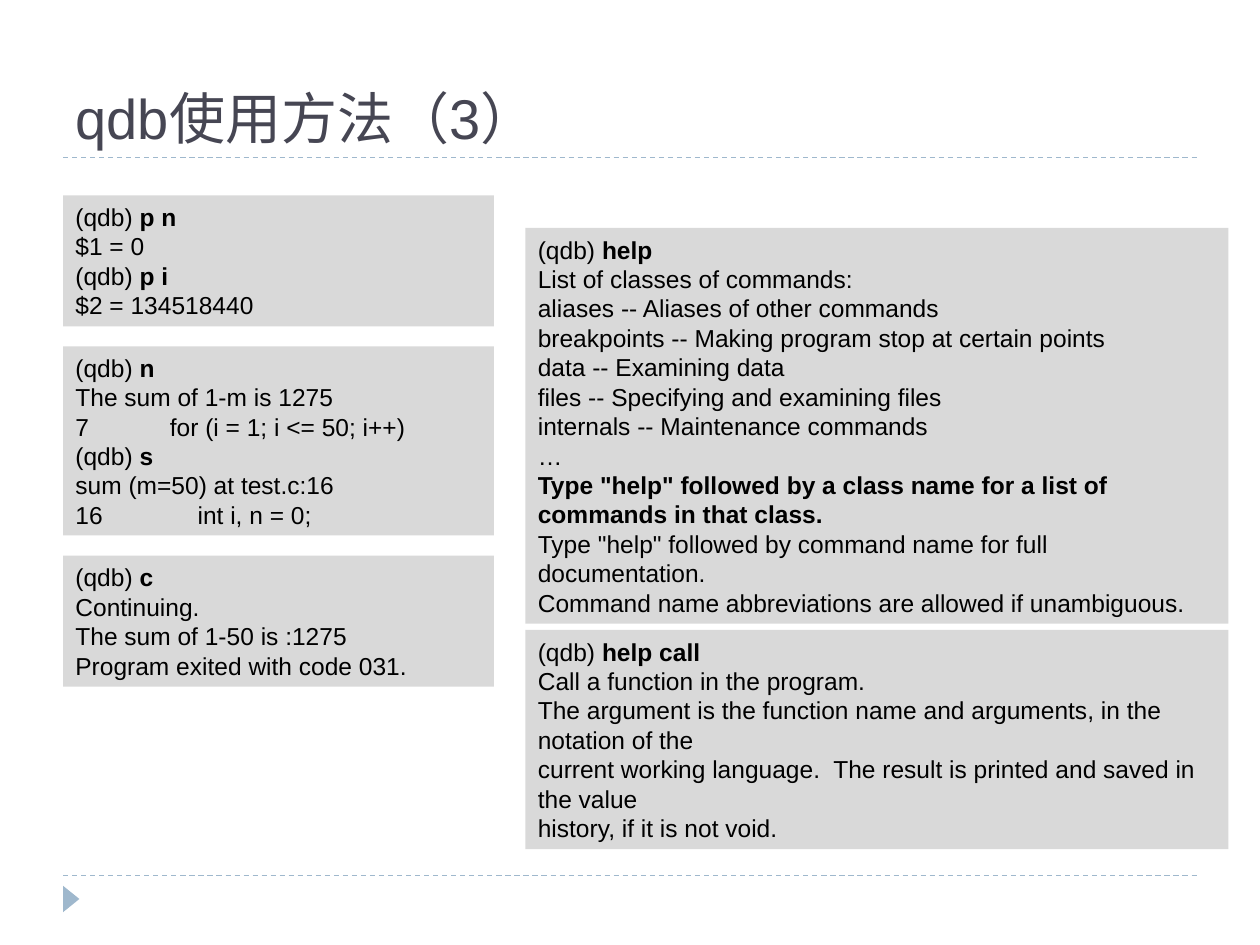
from lxml.etree import SubElement
from pptx import Presentation
from pptx.dml.color import RGBColor
from pptx.enum.dml import MSO_LINE
from pptx.enum.shapes import MSO_CONNECTOR, MSO_SHAPE
from pptx.enum.text import MSO_ANCHOR, MSO_AUTO_SIZE, PP_ALIGN
from pptx.oxml.ns import qn
from pptx.util import Inches, Pt

COLORS = {"title": "464653", "text": "000000", "panel": "D9D9D9", "accent": "9FB8CD"}
FONT = "Arial"
PROMPT = "(qdb) "
LEFT_COLUMN = (0.5, 3.42)
RIGHT_COLUMN = (4.17, 5.58)

# Column, top, height, lines; a line is a string, (text, bold) or (text, bold, tab stop).
SESSIONS = [
    (LEFT_COLUMN, 1.55, 1.04, [
        PROMPT + "p n",
        "$1 = 0",
        PROMPT + "p i",
        "$2 = 134518440",
    ]),
    (LEFT_COLUMN, 2.75, 1.5, [
        PROMPT + "n",
        "The sum of 1-m is 1275",
        ("7\tfor (i = 1; i <= 50; i++)", False, 0.75),
        PROMPT + "s",
        "sum (m=50) at test.c:16",
        ("16\tint i, n = 0;", False, 0.97),
    ]),
    (LEFT_COLUMN, 4.41, 1.04, [
        PROMPT + "c",
        "Continuing.",
        "The sum of 1-50 is :1275",
        "Program exited with code 031.",
    ]),
    (RIGHT_COLUMN, 1.81, 3.14, [
        PROMPT + "help",
        "List of classes of commands:",
        "aliases -- Aliases of other commands",
        "breakpoints -- Making program stop at certain points",
        "data -- Examining data",
        "files -- Specifying and examining files",
        "internals -- Maintenance commands",
        "…",
        ('Type "help" followed by a class name for a list of commands in that class.', True),
        'Type "help" followed by command name for full documentation.',
        "Command name abbreviations are allowed if unambiguous.",
    ]),
    (RIGHT_COLUMN, 5, 1.74, [
        PROMPT + "help call",
        "Call a function in the program.",
        "The argument is the function name and arguments, in the notation of the",
        "current working language.  The result is printed and saved in the value",
        "history, if it is not void.",
    ]),
]


def rgb(name):
    return RGBColor.from_string(COLORS[name])


def add_run(paragraph, text, size, color, bold=False):
    run = paragraph.add_run()
    run.text = text
    run.font.name = FONT
    run.font.size = Pt(size)
    run.font.bold = bold
    run.font.color.rgb = rgb(color)


def add_tab_stop(paragraph, position):
    tab_list = SubElement(paragraph._p.get_or_add_pPr(), qn("a:tabLst"))
    SubElement(tab_list, qn("a:tab"), pos=str(Inches(position)), algn="l")


def add_rule(slide, top):
    """Draw a dashed line across the slide's content width."""
    line = slide.shapes.add_connector(
        MSO_CONNECTOR.STRAIGHT, Inches(0.5), Inches(top), Inches(9.5), Inches(top))
    line.line.color.rgb = rgb("accent")
    line.line.width = Pt(0.75)
    line.line.dash_style = MSO_LINE.DASH
    SubElement(line._element.spPr, qn("a:effectLst"))


def add_filled_shape(slide, kind, left, top, width, height, color):
    shape = slide.shapes.add_shape(
        kind, Inches(left), Inches(top), Inches(width), Inches(height))
    shape.shadow.inherit = False
    shape.fill.solid()
    shape.fill.fore_color.rgb = rgb(color)
    shape.line.fill.background()
    return shape


def set_title(slide, text):
    title = slide.shapes.title
    title.left, title.top = Inches(0.5), Inches(0.17)
    title.width, title.height = Inches(9), Inches(1.08)
    frame = title.text_frame
    frame.auto_size = MSO_AUTO_SIZE.NONE
    frame.vertical_anchor = MSO_ANCHOR.BOTTOM
    paragraph = frame.paragraphs[0]
    paragraph.alignment = PP_ALIGN.LEFT
    add_run(paragraph, text, 32, "title")


def add_session_line(paragraph, text, bold=False, tab_stop=None):
    """Write one terminal line; what follows a prompt is bold."""
    paragraph.alignment = PP_ALIGN.LEFT
    if tab_stop:
        add_tab_stop(paragraph, tab_stop)
    if text.startswith(PROMPT):
        add_run(paragraph, PROMPT, 14, "text")
        add_run(paragraph, text[len(PROMPT):], 14, "text", bold=True)
    else:
        add_run(paragraph, text, 14, "text", bold)


def add_session(slide, column, top, height, lines):
    left, width = column
    panel = add_filled_shape(
        slide, MSO_SHAPE.RECTANGLE, left, top, width, height, "panel")
    frame = panel.text_frame
    frame.word_wrap = True
    frame.auto_size = MSO_AUTO_SIZE.SHAPE_TO_FIT_TEXT
    frame.vertical_anchor = MSO_ANCHOR.MIDDLE
    for index, line in enumerate(lines):
        paragraph = frame.add_paragraph() if index else frame.paragraphs[0]
        parts = (line,) if isinstance(line, str) else line
        add_session_line(paragraph, *parts)


def main():
    presentation = Presentation()
    presentation.slide_width = Inches(10)
    presentation.slide_height = Inches(7.5)
    slide = presentation.slides.add_slide(presentation.slide_layouts[5])

    for top in (6.95, 1.25):
        add_rule(slide, top)
    marker = add_filled_shape(
        slide, MSO_SHAPE.ISOSCELES_TRIANGLE, 0.46, 7.07, 0.21, 0.13, "accent")
    marker.rotation = 90
    set_title(slide, "qdb使用方法（3）")
    for session in SESSIONS:
        add_session(slide, *session)

    presentation.save("out.pptx")


if __name__ == "__main__":
    main()
